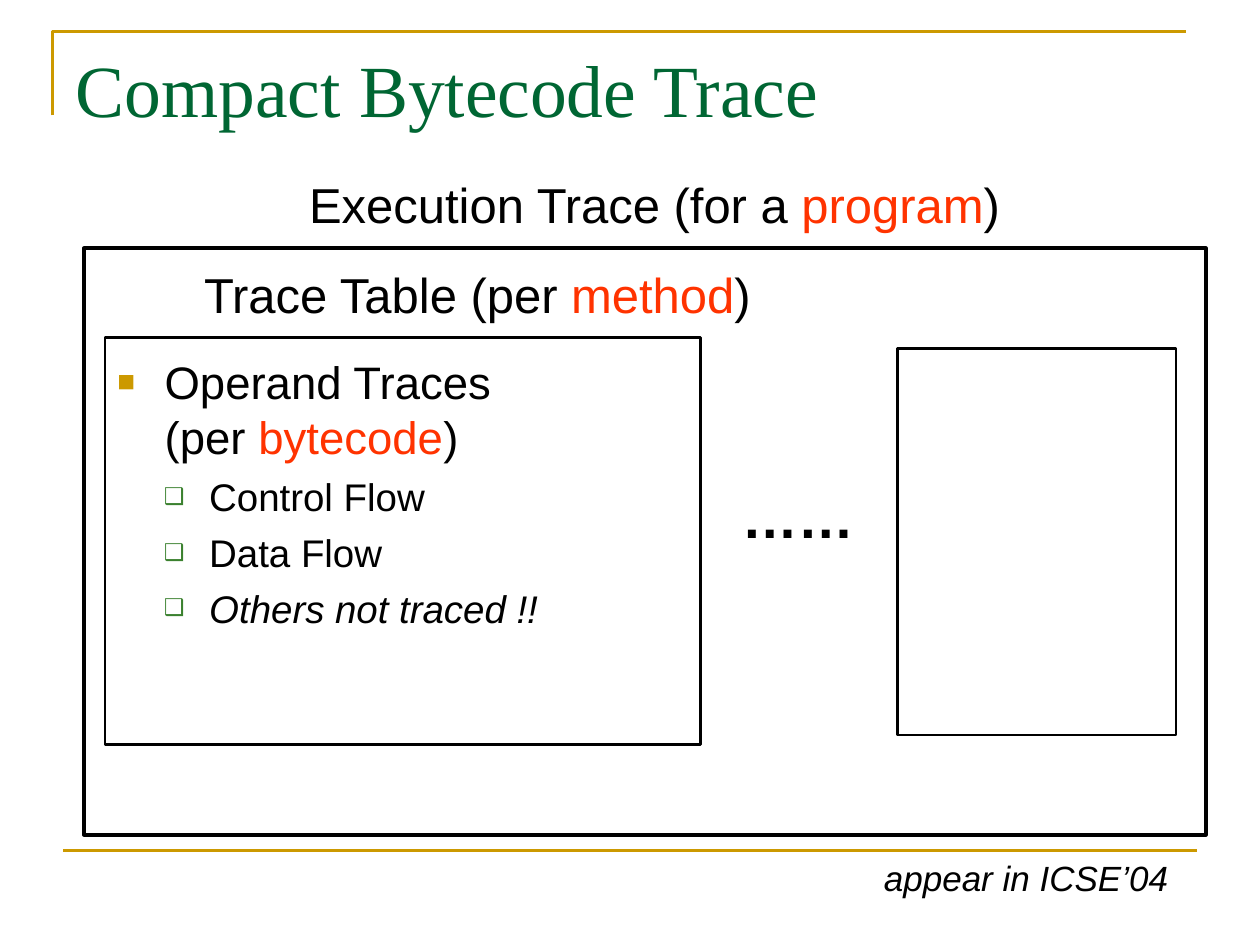
import pptx
import pptx.util
import pptx.dml.color
import pptx.enum.shapes
import pptx.enum.text
import pptx.oxml
import pptx.oxml.ns

Pt = pptx.util.Pt
Color = pptx.dml.color.RGBColor
Shape = pptx.enum.shapes.MSO_SHAPE
Align = pptx.enum.text.PP_ALIGN

BLACK = Color(0x00, 0x00, 0x00)
RED = Color(0xFF, 0x33, 0x00)
GOLD = Color(0xCC, 0x99, 0x00)
GREEN = Color(0x00, 0x66, 0x33)
LEAF = Color(0x3B, 0x81, 0x2F)

# Bullet levels: indent, hang, space before, sign, colour, percent
LEVELS = [
    (27, 27, 0, "■", GOLD, 65),
    (52.5, 26, 5.5, "❑", LEAF, 60),
]


def style(item, values):
    for name, value in values.items():
        setattr(item, name, value)


def write(para, parts, size, **extra):
    """Add (text, colour) parts to a paragraph; a bare newline breaks the line."""
    for text, color in parts:
        if text == "\n":
            para.add_line_break()
            continue
        run = para.add_run()
        run.text = text
        style(run.font, {"name": "Arial", "size": Pt(size), **extra})
        run.font.color.rgb = color


def text_box(slide, box):
    frame = slide.shapes.add_textbox(*map(Pt, box)).text_frame
    frame.word_wrap = True
    return frame


def label(slide, box, parts, size, align=Align.CENTER, **extra):
    para = text_box(slide, box).paragraphs[0]
    para.alignment = align
    write(para, parts, size, **extra)


def frame_box(slide, box, width):
    shape = slide.shapes.add_shape(Shape.RECTANGLE, *map(Pt, box))
    shape.shadow.inherit = False
    shape.fill.background()
    shape.line.color.rgb = BLACK
    shape.line.width = Pt(width)


def bullet(para, level):
    indent, hang, before, sign, color, percent = LEVELS[level]
    para.level = level
    para.space_before = Pt(before)
    props = para._p.get_or_add_pPr()
    props.set("marL", str(Pt(indent)))
    props.set("indent", str(-Pt(hang)))
    space = pptx.oxml.ns.nsdecls("a")
    for xml in (
        f'<a:buClr {space}><a:srgbClr val="{color}"/></a:buClr>',
        f'<a:buSzPct {space} val="{percent * 1000}"/>',
        f'<a:buFont {space} typeface="Arial"/>',
        f'<a:buChar {space} char="{sign}"/>',
    ):
        props.append(pptx.oxml.parse_xml(xml))


def rules(slide, box):
    """Gold corner above the title and gold line above the footer."""
    left, top, width, height = box
    path = slide.shapes.build_freeform(Pt(left), Pt(top + 48))
    path.add_line_segments(
        [(Pt(left), Pt(top)), (Pt(left + width), Pt(top))], close=False)
    corner = path.convert_to_shape()
    corner.shadow.inherit = False
    corner.fill.background()
    base = slide.shapes.add_connector(
        pptx.enum.shapes.MSO_CONNECTOR.STRAIGHT,
        Pt(left + 6), Pt(top + height), Pt(left + 6 + width), Pt(top + height))
    base._element.spPr.append(pptx.oxml.parse_xml(
        f'<a:effectLst {pptx.oxml.ns.nsdecls("a")}/>'))
    for shape in (corner, base):
        shape.line.color.rgb = GOLD
        shape.line.width = Pt(1.5)


def heading(slide, box, text):
    title = slide.shapes.title
    names = ("left", "top", "width", "height")
    style(title, dict(zip(names, map(Pt, box))))
    frame = title.text_frame
    frame.text = text
    style(frame, {"vertical_anchor": pptx.enum.text.MSO_ANCHOR.TOP,
                  "auto_size": pptx.enum.text.MSO_AUTO_SIZE.NONE})
    para = frame.paragraphs[0]
    para.alignment = Align.LEFT
    font = para.runs[0].font
    style(font, {"name": "Times New Roman", "size": Pt(42)})
    font.color.rgb = GREEN


def table(slide, box):
    """Trace table of one method: caption, frame and operand list."""
    left, top, width, height = box
    frame_box(slide, box, 1.5)
    label(slide, (left, top - 45.5, 425.5, 41),
          [("Trace Table (per ", BLACK), ("method", RED), (")", BLACK)], 28)
    body = text_box(slide, (left, top + 6, width - 6, height - 17))
    rows = [
        (0, 26, False, [("Operand Traces", BLACK), ("\n", BLACK),
                        ("(per ", BLACK), ("bytecode", RED), (")", BLACK)]),
        (1, 22, False, [("Control Flow", BLACK)]),
        (1, 22, False, [("Data Flow", BLACK)]),
        (1, 22, True, [("Others not traced !!", BLACK)]),
    ]
    for index, (level, size, italic, parts) in enumerate(rows):
        para = body.add_paragraph() if index else body.paragraphs[0]
        bullet(para, level)
        write(para, parts, size, italic=italic)


def trace(slide, box):
    """Execution trace: caption, outer frame and the tables inside it."""
    left, top, width, height = box
    frame_box(slide, box, 2.25)
    label(slide, (left + 108, top - 46, 436, 41),
          [("Execution Trace (for a ", BLACK), ("program", RED),
           (")", BLACK)], 28)
    table(slide, (left + 12, top + 51, 340.5, 232.5))
    label(slide, (left + 351.5, top + 130, 113, 46),
          [("……", BLACK)], 32, bold=True)
    frame_box(slide, (left + 465, top + 57, 159, 221), 1.5)


def main():
    deck = pptx.Presentation()
    style(deck, {"slide_width": Pt(720), "slide_height": Pt(540)})
    slide = deck.slides.add_slide(deck.slide_layouts[5])
    rules(slide, (30, 18, 648, 468))
    heading(slide, (36, 21.5, 648, 90), "Compact Bytecode Trace")
    trace(slide, (48, 142, 641, 335))
    # Footer note
    label(slide, (498, 486, 192, 32), [("appear in ICSE’04", BLACK)], 20,
          Align.LEFT, italic=True)
    deck.save("out.pptx")


if __name__ == "__main__":
    main()
